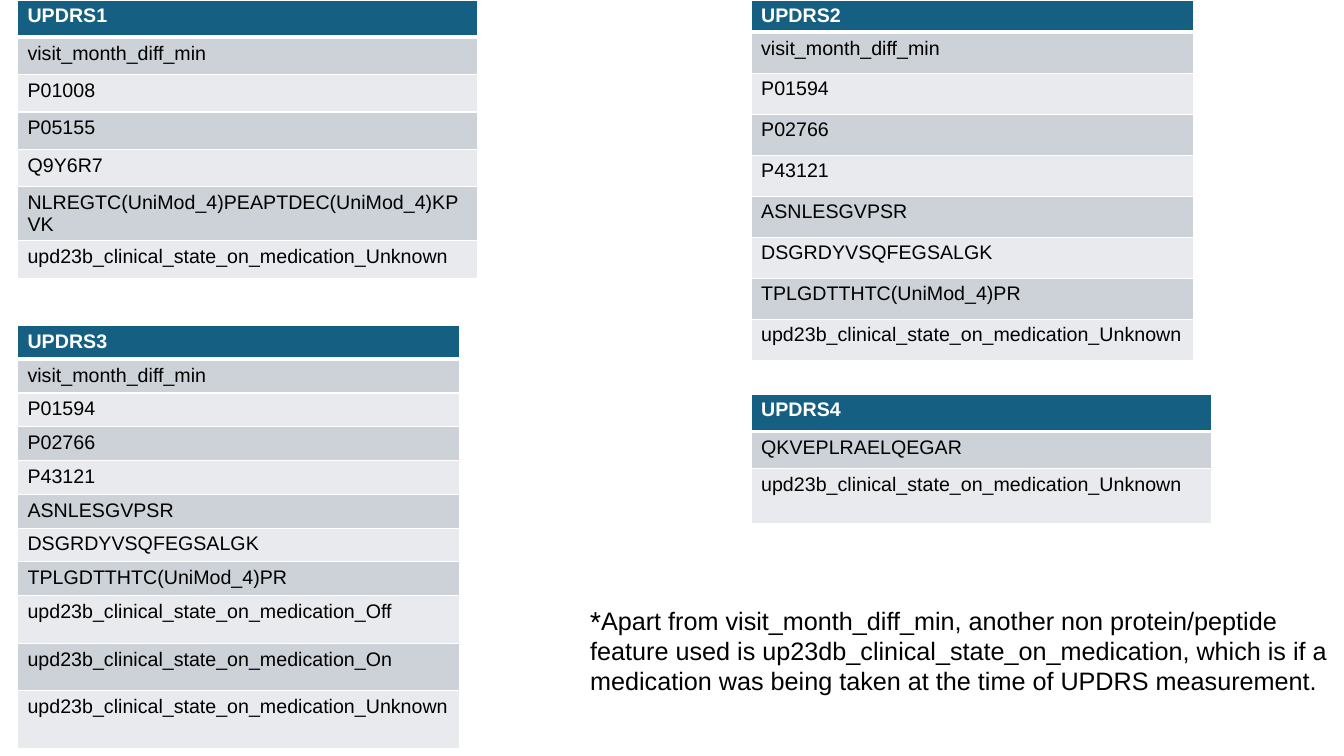
import pptx
import pptx.dml.color
import pptx.enum.text
import pptx.oxml
import pptx.oxml.ns
import pptx.util
from dataclasses import dataclass

Pt = pptx.util.Pt


@dataclass(frozen=True)
class Theme:
    header: str = "156082"
    bands: tuple = ("CCD2D8", "E8EAED")
    light: str = "FFFFFF"
    dark: str = "000000"
    font: str = "Arial"
    marker_font: str = "Roboto"
    table_size: int = 14
    note_size: int = 18
    thin: int = 1
    thick: int = 3


class SlideBuilder:
    def __init__(self, slide, theme):
        self.slide = slide
        self.theme = theme

    def format_run(self, run, color, **values):
        for name, value in values.items():
            setattr(run.font, name, value)
        run.font.color.rgb = pptx.dml.color.RGBColor.from_string(color)

    def border(self, cell, side, width):
        properties = cell._tc.get_or_add_tcPr()
        properties.append(pptx.oxml.parse_xml(
            f'<a:ln{side} {pptx.oxml.ns.nsdecls("a")} w="{Pt(width)}">'
            f'<a:solidFill><a:srgbClr val="{self.theme.light}"/></a:solidFill>'
            f'</a:ln{side}>'))

    def feature_table(self, left, top, width, heights, entries):
        theme = self.theme
        frame = self.slide.shapes.add_table(
            len(entries), 1, Pt(left), Pt(top), Pt(width), Pt(sum(heights)))
        table = frame.table
        for index, (height, entry) in enumerate(zip(heights, entries)):
            is_header = index == 0
            table.rows[index].height = Pt(height)
            cell = table.cell(index, 0)
            # The heavy rule lies between the header and the first feature
            widths = {"L": theme.thin, "R": theme.thin,
                      "T": theme.thick if index == 1 else theme.thin,
                      "B": theme.thick if is_header else theme.thin}
            for side, line_width in widths.items():
                self.border(cell, side, line_width)
            fill = theme.header if is_header else theme.bands[(index - 1) % 2]
            cell.fill.solid()
            cell.fill.fore_color.rgb = pptx.dml.color.RGBColor.from_string(fill)
            run = cell.text_frame.paragraphs[0].add_run()
            run.text = entry
            self.format_run(run, theme.light if is_header else theme.dark,
                            name=theme.font, size=Pt(theme.table_size), bold=is_header)

    def note(self, left, top, width, height, marker, text):
        theme = self.theme
        box = self.slide.shapes.add_textbox(Pt(left), Pt(top), Pt(width), Pt(height))
        settings = {"word_wrap": True,
                    "auto_size": pptx.enum.text.MSO_AUTO_SIZE.SHAPE_TO_FIT_TEXT}
        for name, value in settings.items():
            setattr(box.text_frame, name, value)
        paragraph = box.text_frame.paragraphs[0]
        for part, font in ((marker, theme.marker_font), (text, theme.font)):
            run = paragraph.add_run()
            run.text = part
            self.format_run(run, theme.dark, name=font, size=Pt(theme.note_size))


def main():
    presentation = pptx.Presentation()
    presentation.slide_width, presentation.slide_height = Pt(960), Pt(540)
    slide = presentation.slides.add_slide(presentation.slide_layouts[6])
    builder = SlideBuilder(slide, Theme())

    # Features shared between the scores
    visit = "visit_month_diff_min"
    medication = "upd23b_clinical_state_on_medication_"
    unknown = medication + "Unknown"
    shared = [visit, "P01594", "P02766", "P43121", "ASNLESGVPSR",
              "DSGRDYVSQFEGSALGK", "TPLGDTTHTC(UniMod_4)PR"]

    # Table columns and widths
    left, right = 12.5, 536.5
    narrow, wide = 316, 329

    # One table per score
    builder.feature_table(left, 0, wide, [26.7] * 7, [
        "UPDRS1", visit, "P01008", "P05155", "Q9Y6R7",
        "NLREGTC(UniMod_4)PEAPTDEC(UniMod_4)KPVK", unknown])
    builder.feature_table(right, 0, narrow, [22.2] + [29.3] * 8,
                          ["UPDRS2", *shared, unknown])
    builder.feature_table(left, 232.5, narrow, [24.15] * 8 + [34, 34, 41],
                          ["UPDRS3", *shared, medication + "Off", medication + "On", unknown])
    builder.feature_table(right, 281.5, wide, [26.7, 26.7, 39.5],
                          ["UPDRS4", "QKVEPLRAELQEGAR", unknown])

    # Footnote
    builder.note(414.5, 428.5, 545, 72.7, "*",
                 "Apart from visit_month_diff_min, another non protein/peptide feature "
                 "used is up23db_clinical_state_on_medication, which is if a medication "
                 "was being taken at the time of UPDRS measurement.")

    presentation.save("out.pptx")


if __name__ == "__main__":
    main()
